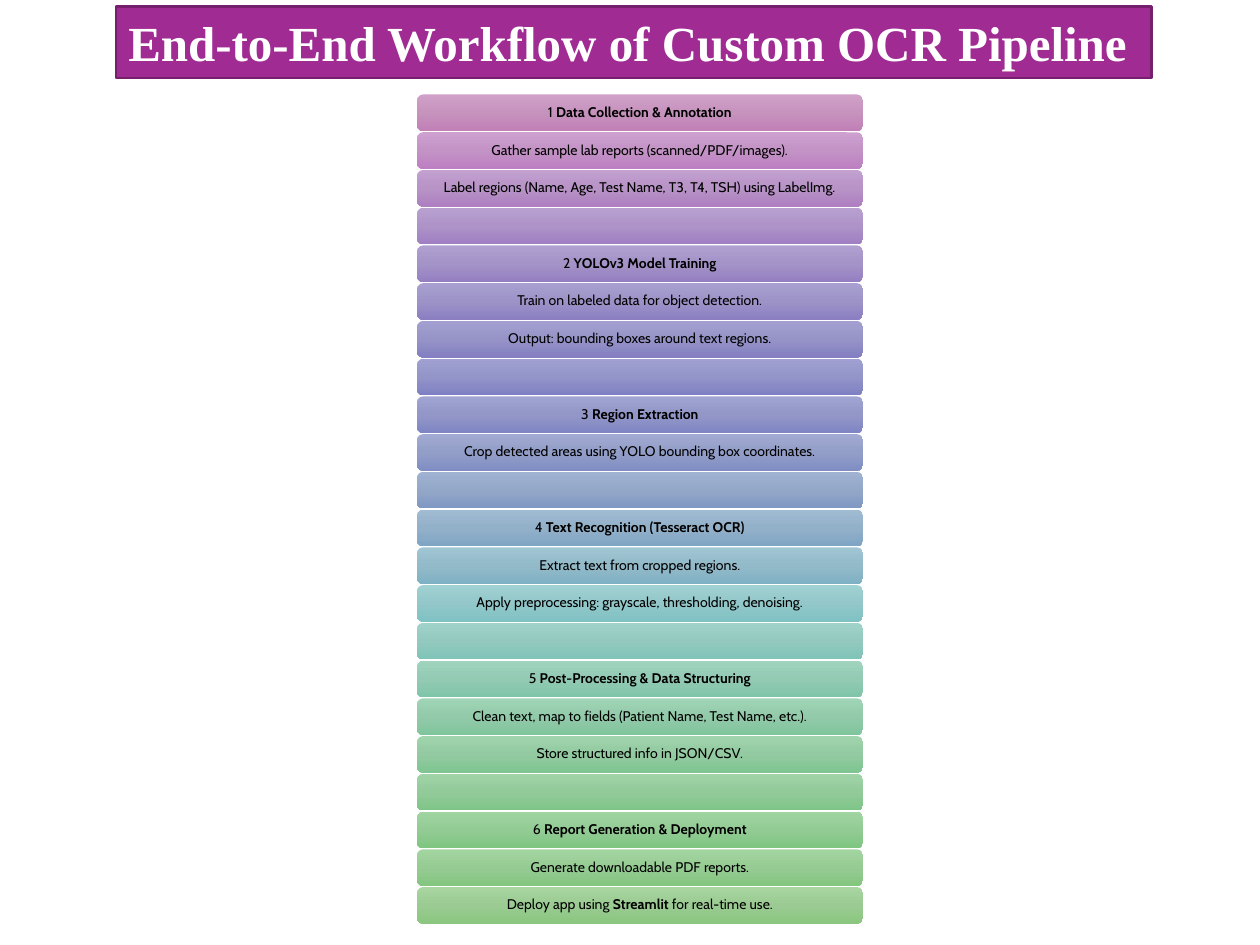
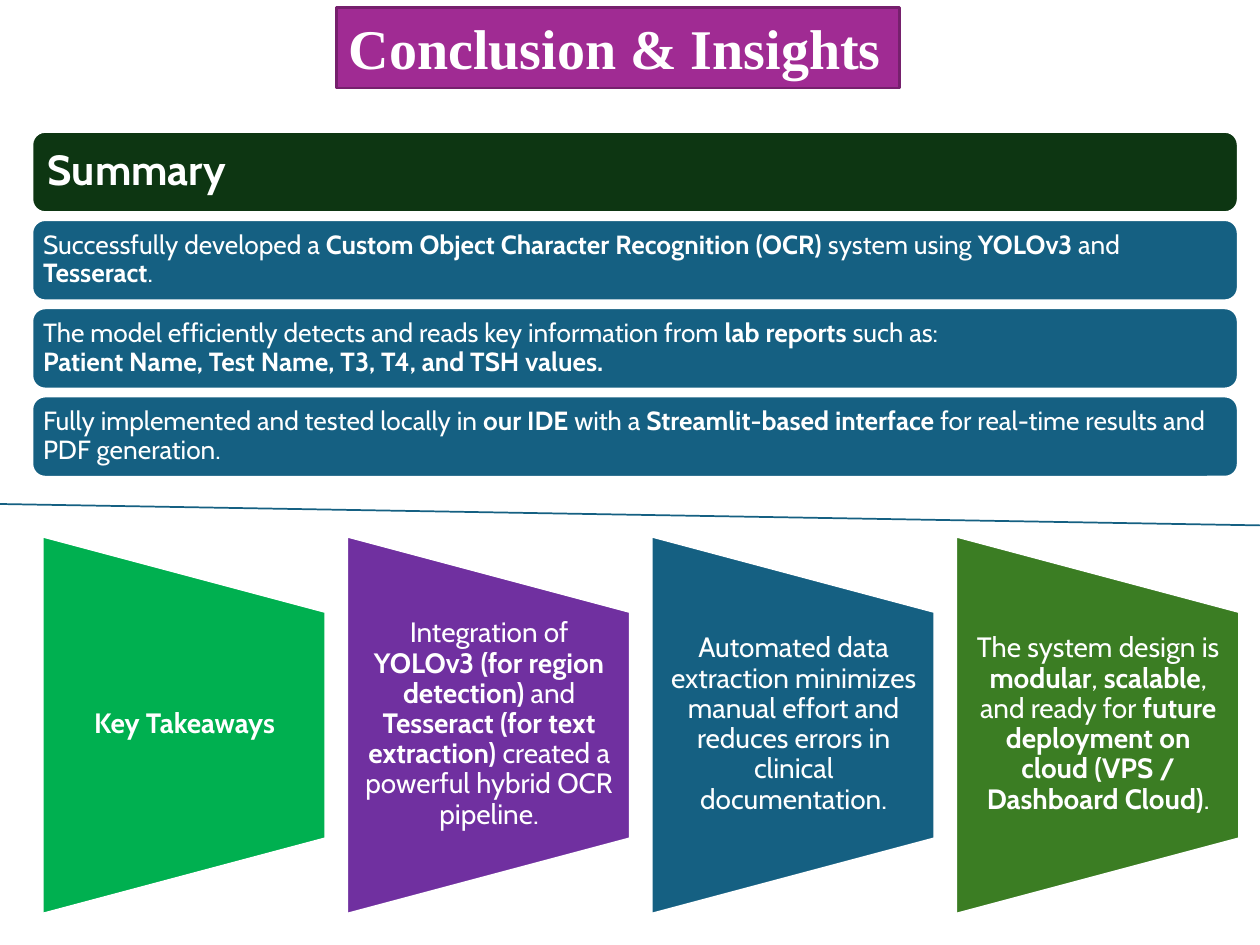
from colorsys import hsv_to_rgb
from copy import deepcopy
from dataclasses import dataclass

from lxml.etree import SubElement
from pptx import Presentation
from pptx.dml.color import RGBColor
from pptx.enum.shapes import MSO_CONNECTOR, MSO_SHAPE as Preset
from pptx.enum.text import MSO_ANCHOR as Anchor, MSO_AUTO_SIZE as AutoSize, PP_ALIGN as Align
from pptx.oxml.ns import qn
from pptx.util import Inches, Pt

# Slide grid
SLIDE_WIDTH, SLIDE_HEIGHT = Inches(10), Inches(7.5)
COLUMNS, ROWS = 100, 75

# Shared colours and fonts
WHITE, BLACK = "FFFFFF", "000000"
PURPLE, DARK_PURPLE = "A02B93", "76206D"
DARK_GREEN, BLUE = "0D3612", "156082"
BODY_FONT, TITLE_FONT = "Cabin", "Times New Roman"


@dataclass(frozen=True)
class Box:
    """A place on the slide, in grid columns and rows."""
    column: float
    row: float
    columns: float
    rows: float

    def lengths(self) -> tuple[int, ...]:
        return (across(self.column), down(self.row),
                across(self.columns), down(self.rows))


@dataclass(frozen=True)
class TextStyle:
    size: float
    colour: str = WHITE
    font: str = BODY_FONT
    align: Align = Align.LEFT
    anchor: Anchor = Anchor.MIDDLE
    insets: tuple[float, float] = (0.1, 0.05)
    spacing: float = 0.9
    wrap: bool = True
    auto_size: AutoSize = AutoSize.NONE


@dataclass(frozen=True)
class Step:
    hue: int
    text: str = ""


@dataclass(frozen=True)
class Band:
    colour: str
    text: str
    style: TextStyle


@dataclass(frozen=True)
class Takeaway:
    colour: str
    text: str


@dataclass(frozen=True)
class Tone:
    """Lowest and highest channel values of one gradient stop."""
    low: int
    high: int


STEP_STYLE = TextStyle(8, BLACK, align=Align.CENTER, insets=(0.03, 0.02))
SUMMARY_STYLE = TextStyle(24, insets=(0.1, 0.1))
POINT_STYLE = TextStyle(15, insets=(0.06, 0.06))
TAKEAWAY_STYLE = TextStyle(16, align=Align.CENTER, insets=(0.11, 0))

# Text between double asterisks is bold
STEPS = [
    Step(310, "1 **Data Collection & Annotation**"),
    Step(296, "Gather sample lab reports (scanned/PDF/images)."),
    Step(282, "Label regions (Name, Age, Test Name, T3, T4, TSH) using LabelImg."),
    Step(270),
    Step(260, "2 **YOLOv3 Model Training**"),
    Step(251, "Train on labeled data for object detection."),
    Step(244, "Output: bounding boxes around text regions."),
    Step(239),
    Step(235, "3 **Region Extraction**"),
    Step(228, "Crop detected areas using YOLO bounding box coordinates."),
    Step(218),
    Step(207, "4 **Text Recognition (Tesseract OCR)**"),
    Step(196, "Extract text from cropped regions."),
    Step(182, "Apply preprocessing: grayscale, thresholding, denoising."),
    Step(169),
    Step(156, "5 **Post-Processing & Data Structuring**"),
    Step(145, "Clean text, map to fields (Patient Name, Test Name, etc.)."),
    Step(135, "Store structured info in JSON/CSV."),
    Step(128),
    Step(122, "6 **Report Generation & Deployment**"),
    Step(117, "Generate downloadable PDF reports."),
    Step(111, "Deploy app using **Streamlit** for real-time use."),
]
STEP_TONES = [Tone(160, 208), Tone(147, 198), Tone(127, 193)]
TONE_RISE = 5  # the highest channel climbs this much from first to last step

BANDS = [
    Band(DARK_GREEN, "**Summary**", SUMMARY_STYLE),
    Band(BLUE, "Successfully developed a **Custom Object Character Recognition (OCR)** "
               "system using **YOLOv3** and **Tesseract**.", POINT_STYLE),
    Band(BLUE, "The model efficiently detects and reads key information from "
               "**lab reports** such as:\n"
               "**Patient Name, Test Name, T3, T4, and TSH values.**", POINT_STYLE),
    Band(BLUE, "Fully implemented and tested locally in **our IDE** with a "
               "**Streamlit-based interface** for real-time results and PDF generation.",
         POINT_STYLE),
]

TAKEAWAYS = [
    Takeaway("00B050", "**Key Takeaways**"),
    Takeaway("7030A0", "Integration of **YOLOv3 (for region detection)** and "
                       "**Tesseract (for text extraction)** created a powerful "
                       "hybrid OCR pipeline."),
    Takeaway(BLUE, "Automated data extraction minimizes manual effort and reduces "
                   "errors in clinical documentation."),
    Takeaway("3B7D23", "The system design is **modular**, **scalable**, and ready for "
                       "**future deployment on cloud (VPS / Dashboard Cloud)**."),
]


def across(columns: float) -> int:
    return round(SLIDE_WIDTH * columns / COLUMNS)


def down(rows: float) -> int:
    return round(SLIDE_HEIGHT * rows / ROWS)


def colour_of(value: str) -> RGBColor:
    return RGBColor.from_string(value)


def apply(target, values: dict) -> None:
    for name, value in values.items():
        setattr(target, name, value)


def write(shape, text: str, style: TextStyle) -> None:
    side, end = map(Inches, style.insets)
    frame = shape.text_frame
    apply(frame, {
        "margin_left": side, "margin_right": side,
        "margin_top": end, "margin_bottom": end,
        "word_wrap": style.wrap, "auto_size": style.auto_size,
        "vertical_anchor": style.anchor,
    })
    paragraph = frame.paragraphs[0]
    apply(paragraph, {"alignment": style.align, "line_spacing": style.spacing})
    for part_number, part in enumerate(text.split("**")):
        for line_number, line in enumerate(part.split("\n")):
            if line_number:
                paragraph.add_line_break()
            if line:
                run = paragraph.add_run()
                run.text = line
                apply(run.font, {"size": Pt(style.size), "name": style.font,
                                 "bold": part_number % 2 == 1})
                run.font.color.rgb = colour_of(style.colour)


def add_block(slide, preset: Preset, box: Box, fill: str = "",
              line: str = "", line_width: float = 0):
    shape = slide.shapes.add_shape(preset, *box.lengths())
    shape.shadow.inherit = False
    if fill:
        shape.fill.solid()
        shape.fill.fore_color.rgb = colour_of(fill)
    if line:
        shape.line.color.rgb = colour_of(line)
        shape.line.width = Pt(line_width)
    else:
        shape.line.fill.background()
    return shape


def add_title(slide, text: str, box: Box, size: float) -> None:
    shape = add_block(slide, Preset.RECTANGLE, box, PURPLE, DARK_PURPLE, 1.5)
    write(shape, f"**{text}**",
          TextStyle(size, font=TITLE_FONT, anchor=Anchor.TOP, spacing=1.0,
                    wrap=False, auto_size=AutoSize.SHAPE_TO_FIT_TEXT))


def tone_colour(hue: int, tone: Tone, progress: float) -> str:
    high = tone.high + TONE_RISE * progress
    channels = hsv_to_rgb(hue / 360, 1 - tone.low / high, high)
    return "".join(f"{round(channel):02X}" for channel in channels)


def fill_gradient(shape, colours: list[str]) -> None:
    """Fill from top to bottom with evenly spaced stops."""
    shape.fill.gradient()
    shape.fill.gradient_angle = 270
    stop_list = shape.element.spPr.find(qn("a:gradFill")).find(qn("a:gsLst"))
    while len(stop_list) < len(colours):
        stop_list.append(deepcopy(stop_list[0]))
    for number, (stop, colour) in enumerate(zip(shape.fill.gradient_stops, colours)):
        stop.position = number / (len(colours) - 1)
        stop.color.rgb = colour_of(colour)


def build_workflow(slide) -> None:
    add_title(slide, "End-to-End Workflow of Custom OCR Pipeline",
              Box(9.2, 0.5, 82.2, 5.7), 28)

    # Stack of steps
    first_row, last_row = 7.5, 70.4
    for number, step in enumerate(STEPS):
        progress = number / (len(STEPS) - 1)
        row = first_row + (last_row - first_row) * progress
        bar = add_block(slide, Preset.ROUNDED_RECTANGLE, Box(33.1, row, 35.4, 2.9))
        fill_gradient(bar, [tone_colour(step.hue, tone, progress) for tone in STEP_TONES])
        if step.text:
            write(bar, step.text, STEP_STYLE)


def build_conclusion(slide) -> None:
    add_title(slide, "Conclusion & Insights", Box(26.7, 0.6, 44.7, 6.4), 32)

    # Summary bands
    for number, band in enumerate(BANDS):
        bar = add_block(slide, Preset.ROUNDED_RECTANGLE,
                        Box(2.5, 10.4 + 7 * number, 95.8, 6.5), band.colour, WHITE, 2)
        write(bar, band.text, band.style)

    # Takeaway panels, each turned on its side with level text over it
    for number, takeaway in enumerate(TAKEAWAYS):
        offset = 24.17 * number
        panel = add_block(slide, Preset.FLOWCHART_MANUAL_OPERATION,
                          Box(-0.4 + offset, 46.3, 30, 22.5), takeaway.colour, WHITE, 1.5)
        panel.rotation = 270
        label = slide.shapes.add_textbox(*Box(3.4 + offset, 48.5, 22.5, 18).lengths())
        write(label, takeaway.text, TAKEAWAY_STYLE)

    # Divider
    divider = slide.shapes.add_connector(MSO_CONNECTOR.STRAIGHT, across(0), down(40),
                                         across(COLUMNS), down(41.7))
    divider.line.color.rgb = colour_of(BLUE)
    divider.line.width = Pt(1)
    SubElement(divider.element.spPr, qn("a:effectLst"))


def main() -> None:
    presentation = Presentation()
    apply(presentation, {"slide_width": SLIDE_WIDTH, "slide_height": SLIDE_HEIGHT})
    blank = presentation.slide_layouts[6]
    for build in (build_workflow, build_conclusion):
        build(presentation.slides.add_slide(blank))
    presentation.save("out.pptx")


if __name__ == "__main__":
    main()
